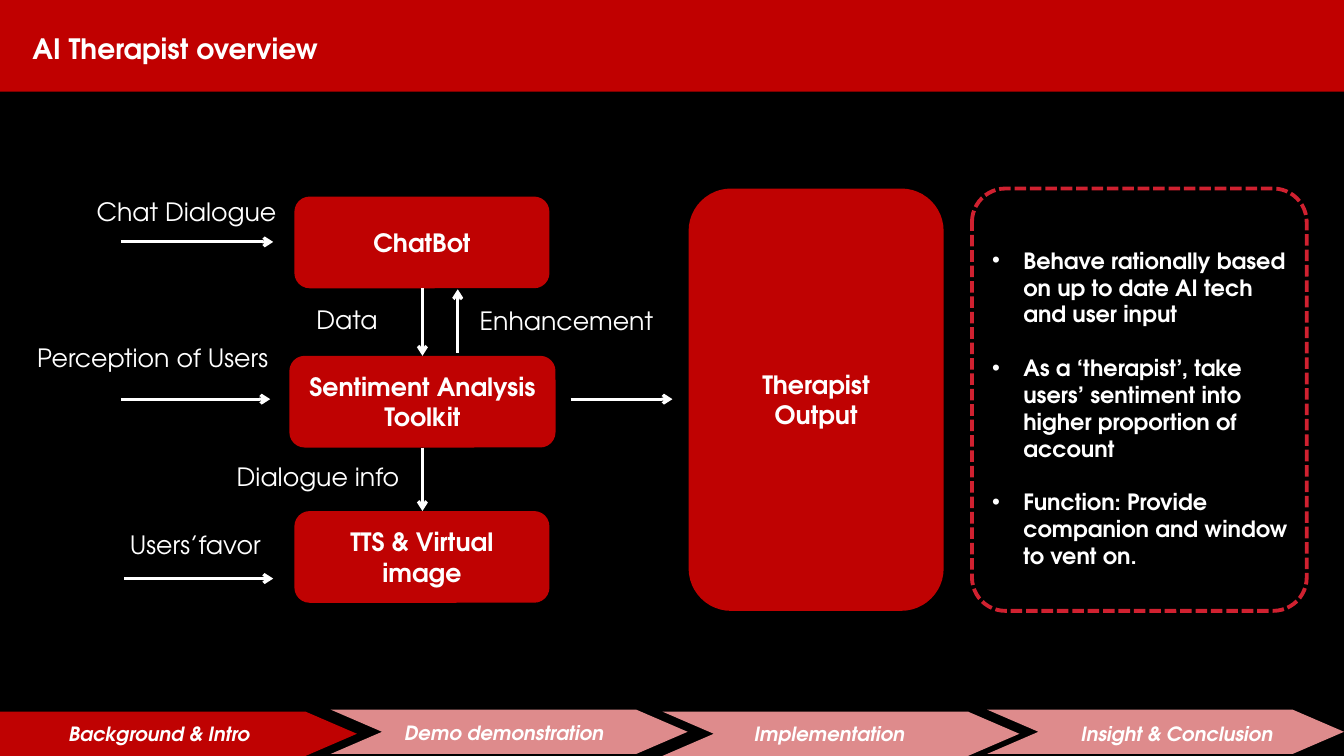
"""Build the AI Therapist overview slide."""
from lxml import etree
from pptx import Presentation
from pptx.dml.color import RGBColor
from pptx.enum.dml import MSO_LINE
from pptx.enum.shapes import MSO_CONNECTOR, MSO_SHAPE
from pptx.enum.text import MSO_ANCHOR, MSO_AUTO_SIZE, PP_ALIGN
from pptx.oxml.ns import qn
from pptx.util import Pt

SCALE = 9144
FONT = "TeX Gyre Adventor"
COLORS = {
    "background": "000000",
    "header": "C00000",
    "box": "BF0202",
    "inactive": "DE8B8C",
    "outline": "D02130",
    "text": "FFFFFF",
}
RECTANGLE = MSO_SHAPE.RECTANGLE
ROUNDED = MSO_SHAPE.ROUNDED_RECTANGLE
PENTAGON = MSO_SHAPE.PENTAGON
CHEVRON = MSO_SHAPE.CHEVRON
STRAIGHT = MSO_CONNECTOR.STRAIGHT
DASHED = MSO_LINE.SQUARE_DOT
MIDDLE = MSO_ANCHOR.MIDDLE
LEFT = PP_ALIGN.LEFT
CENTER = PP_ALIGN.CENTER
NO_AUTOFIT = MSO_AUTO_SIZE.NONE

STEP_WIDTH = 354
STEP_HEIGHT = 44
STEP_POINT = 51

BOXES = [
    ((292, 195, 253, 91), ["ChatBot"]),
    ((287, 353, 264, 91), ["Sentiment Analysis Toolkit"]),
    ((292, 507, 253, 91), ["TTS & Virtual image"]),
    ((683, 187, 253, 419), ["Therapist", "Output"]),
]
ARROWS = [
    (419, 286, 419, 353),
    (454, 350, 454, 287),
    (419, 444, 419, 507),
    (120, 240, 271, 240),
    (120, 396, 268, 396),
    (123, 574, 271, 574),
    (566, 396, 667, 396),
]
LABELS = [
    ((86, 190, 200, 40), "Chat Dialogue"),
    ((27, 335, 260, 40), "Perception of Users"),
    ((119, 520, 152, 40), "Users’favor"),
    ((304, 297, 82, 40), "Data"),
    ((466, 298, 194, 40), "Enhancement"),
    ((225, 453, 197, 40), "Dialogue info"),
]
GOALS = [
    "Behave rationally based on up to date AI tech and user input",
    "As a ‘therapist’, take users’ sentiment into higher proportion of account",
    "Function: Provide companion and window to vent on.",
]
STEPS = [
    (0, 706, PENTAGON, "box", (63, 711, 220, 34), "Background & Intro"),
    (328, 704, CHEVRON, "inactive", (396, 710, 254, 34), "Demo demonstration"),
    (657, 706, CHEVRON, "inactive", (743, 711, 333, 34), "Implementation"),
    (979, 704, CHEVRON, "inactive", (1067, 711, 215, 34), "Insight & Conclusion"),
]


def px(*lengths):
    return [length * SCALE for length in lengths]


def color(name):
    return RGBColor.from_string(COLORS[name])


def add_run(paragraph, text, size, bold=False, italic=False):
    run = paragraph.add_run()
    run.text = text
    run.font.name = FONT
    run.font.size = Pt(size)
    run.font.bold = bold
    run.font.italic = italic
    run.font.color.rgb = color("text")


def add_panel(slide, kind, frame, fill=None, adjustment=None):
    shape = slide.shapes.add_shape(kind, *px(*frame))
    shape.shadow.inherit = False
    shape.line.fill.background()
    if fill:
        shape.fill.solid()
        shape.fill.fore_color.rgb = color(fill)
    else:
        shape.fill.background()
    if adjustment is not None:
        shape.adjustments[0] = adjustment
    return shape


def add_box(slide, frame, lines):
    text_frame = add_panel(slide, ROUNDED, frame, "box").text_frame
    text_frame.word_wrap = True
    text_frame.vertical_anchor = MIDDLE
    for index, line in enumerate(lines):
        paragraph = text_frame.add_paragraph() if index else text_frame.paragraphs[0]
        paragraph.alignment = CENTER
        add_run(paragraph, line, 18, bold=True)


def add_arrow(slide, points):
    connector = slide.shapes.add_connector(STRAIGHT, *px(*points))
    connector.line.color.rgb = color("text")
    connector.line.width = Pt(2.25)
    line = connector.line._get_or_add_ln()
    etree.SubElement(line, qn("a:tailEnd"), type="arrow")
    etree.SubElement(connector.element.spPr, qn("a:effectLst"))


def add_text_frame(slide, frame, wrap=True, inset=5):
    text_frame = slide.shapes.add_textbox(*px(*frame)).text_frame
    text_frame.word_wrap = wrap
    text_frame.margin_left = text_frame.margin_right = inset * SCALE
    text_frame.margin_top = text_frame.margin_bottom = 5 * SCALE
    return text_frame


def add_label(slide, frame, text):
    text_frame = add_text_frame(slide, frame, wrap=False, inset=10)
    add_run(text_frame.paragraphs[0], text, 18)


def add_goals(slide):
    panel = add_panel(slide, ROUNDED, (964, 187, 332, 419), adjustment=0.1)
    panel.line.color.rgb = color("outline")
    panel.line.width = Pt(2.75)
    panel.line.dash_style = DASHED
    text_frame = add_text_frame(slide, (979, 240, 317, 360))
    for index, goal in enumerate(GOALS):
        paragraph = text_frame.add_paragraph() if index else text_frame.paragraphs[0]
        properties = paragraph._p.get_or_add_pPr()
        properties.set("marL", str(31 * SCALE))
        properties.set("indent", str(-31 * SCALE))
        etree.SubElement(properties, qn("a:buFont"), typeface="Arial")
        etree.SubElement(properties, qn("a:buChar"), char="•")
        if index:
            paragraph.space_before = Pt(19)
        add_run(paragraph, goal, 16, bold=True)


def add_step(slide, left, top, kind, fill, label_frame, text):
    frame = (left, top, STEP_WIDTH, STEP_HEIGHT)
    add_panel(slide, kind, frame, fill, STEP_POINT / STEP_HEIGHT)
    paragraph = add_text_frame(slide, label_frame).paragraphs[0]
    add_run(paragraph, text, 14, bold=True, italic=True)


def add_header(slide, text):
    title = slide.shapes.title
    title.left, title.top, title.width, title.height = px(22, 24, 1172, 48)
    text_frame = title.text_frame
    text_frame.auto_size = NO_AUTOFIT
    text_frame.vertical_anchor = MIDDLE
    text_frame.paragraphs[0].alignment = LEFT
    add_run(text_frame.paragraphs[0], text, 20, bold=True)
    bar = add_panel(slide, RECTANGLE, (0, 0, 1333, 91), "header")
    title.element.addprevious(bar.element)


def main():
    presentation = Presentation()
    presentation.slide_width, presentation.slide_height = px(1333, 750)
    slide = presentation.slides.add_slide(presentation.slide_layouts[5])
    slide.background.fill.solid()
    slide.background.fill.fore_color.rgb = color("background")
    add_header(slide, "AI Therapist overview")
    for frame, lines in BOXES:
        add_box(slide, frame, lines)
    for points in ARROWS:
        add_arrow(slide, points)
    for frame, text in LABELS:
        add_label(slide, frame, text)
    add_goals(slide)
    for step in STEPS:
        add_step(slide, *step)
    presentation.save("out.pptx")


if __name__ == "__main__":
    main()
